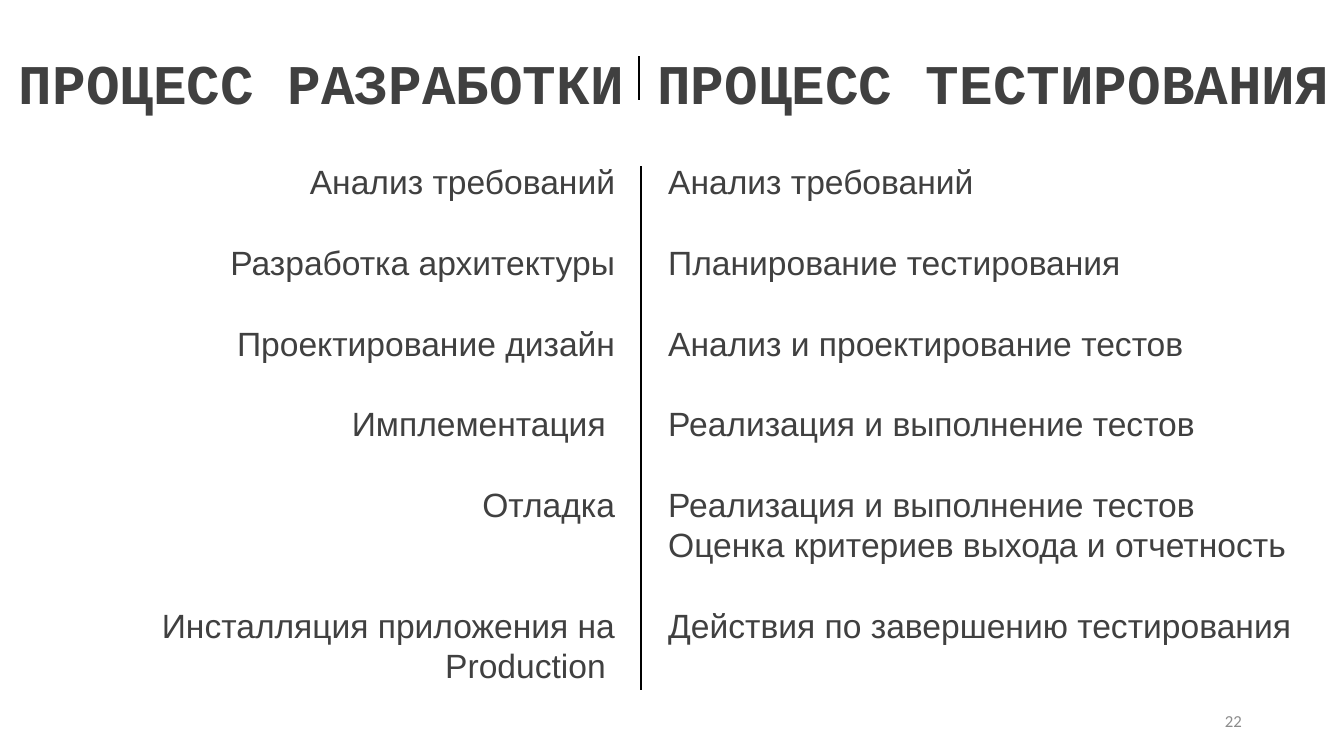
"""Build the slide that sets the development process beside the testing process."""
from dataclasses import dataclass

from pptx import Presentation
from pptx.dml.color import RGBColor
from pptx.enum.shapes import MSO_CONNECTOR
from pptx.enum.text import MSO_ANCHOR, PP_ALIGN
from pptx.oxml.ns import qn
from pptx.slide import Slide
from pptx.util import Pt
from lxml import etree

LEFT, RIGHT = PP_ALIGN.LEFT, PP_ALIGN.RIGHT
TOP, MIDDLE = MSO_ANCHOR.TOP, MSO_ANCHOR.MIDDLE
STRAIGHT = MSO_CONNECTOR.STRAIGHT

BLACK = RGBColor(0x00, 0x00, 0x00)
DARK_GRAY = RGBColor(0x40, 0x40, 0x40)
GRAY = RGBColor(0x8C, 0x8C, 0x8C)

LINE_HEIGHT = 28.8

TITLE_FORMAT = {"name": "Courier New", "size": Pt(40), "bold": True}
STEP_FORMAT = {"name": "Arial", "size": Pt(24)}
NUMBER_FORMAT = {"name": "Calibri", "size": Pt(12)}


@dataclass(frozen=True)
class Line:
    """A paragraph and the number of free lines above it."""
    text: str
    gap: int = 1


@dataclass(frozen=True)
class TextBlock:
    """A text box with its place, lines and format."""
    left: float
    top: float
    width: float
    height: float
    lines: tuple[Line, ...]
    font_format: dict
    color: RGBColor = DARK_GRAY
    alignment: PP_ALIGN = LEFT
    anchor: MSO_ANCHOR = TOP
    wrap: bool = True
    line_height: float | None = None


@dataclass(frozen=True)
class Divider:
    """A vertical line."""
    x: float
    top: float
    bottom: float


DEVELOPMENT_STEPS = (
    Line("Анализ требований", 0),
    Line("Разработка архитектуры"),
    Line("Проектирование дизайн"),
    Line("Имплементация "),
    Line("Отладка"),
    Line("Инсталляция приложения на Production ", 2),
)
TESTING_STEPS = (
    Line("Анализ требований", 0),
    Line("Планирование тестирования"),
    Line("Анализ и проектирование тестов"),
    Line("Реализация и выполнение тестов"),
    Line("Реализация и выполнение тестов"),
    Line("Оценка критериев выхода и отчетность", 0),
    Line("Действия по завершению тестирования"),
)
TITLE = (Line("ПРОЦЕСС РАЗРАБОТКИ ПРОЦЕСС ТЕСТИРОВАНИЯ", 0),)
SLIDE_NUMBER = (Line("22", 0),)

TEXT_BLOCKS = (
    TextBlock(6.5, 31, 1008, 55.4, TITLE, TITLE_FORMAT, wrap=False),
    TextBlock(6.5, 111.6, 440, 406.8, DEVELOPMENT_STEPS, STEP_FORMAT,
              alignment=RIGHT, line_height=LINE_HEIGHT),
    TextBlock(470.2, 111.6, 488.2, 356.4, TESTING_STEPS, STEP_FORMAT,
              line_height=LINE_HEIGHT),
    TextBlock(678.2, 500.4, 216, 28.8, SLIDE_NUMBER, NUMBER_FORMAT, GRAY,
              RIGHT, MIDDLE),
)
DIVIDERS = (Divider(456.5, 40.3, 71.3), Divider(457.9, 118.8, 493.2))


def add_text_block(slide: Slide, block: TextBlock) -> None:
    """Draw a text box with one paragraph for each line."""
    shape = slide.shapes.add_textbox(
        Pt(block.left), Pt(block.top), Pt(block.width), Pt(block.height))
    frame = shape.text_frame
    frame.word_wrap = block.wrap
    frame.vertical_anchor = block.anchor
    for index, line in enumerate(block.lines):
        paragraph = frame.add_paragraph() if index else frame.paragraphs[0]
        paragraph.alignment = block.alignment
        if block.line_height:
            paragraph.line_spacing = Pt(block.line_height)
        if line.gap:
            paragraph.space_before = Pt(line.gap * LINE_HEIGHT)
        run = paragraph.add_run()
        run.text = line.text
        run.font.color.rgb = block.color
        for name, value in block.font_format.items():
            setattr(run.font, name, value)


def add_divider(slide: Slide, divider: Divider) -> None:
    """Draw a black vertical line without a shadow."""
    connector = slide.shapes.add_connector(
        STRAIGHT, Pt(divider.x), Pt(divider.top),
        Pt(divider.x), Pt(divider.bottom))
    connector.line.color.rgb = BLACK
    connector.line.width = Pt(1.5)
    etree.SubElement(connector._element.spPr, qn("a:effectLst"))


def main() -> None:
    """Build and save the presentation."""
    presentation = Presentation()
    presentation.slide_width = Pt(960)
    presentation.slide_height = Pt(540)
    slide = presentation.slides.add_slide(presentation.slide_layouts[6])
    for block in TEXT_BLOCKS:
        add_text_block(slide, block)
    for divider in DIVIDERS:
        add_divider(slide, divider)
    presentation.save("out.pptx")


if __name__ == "__main__":
    main()
